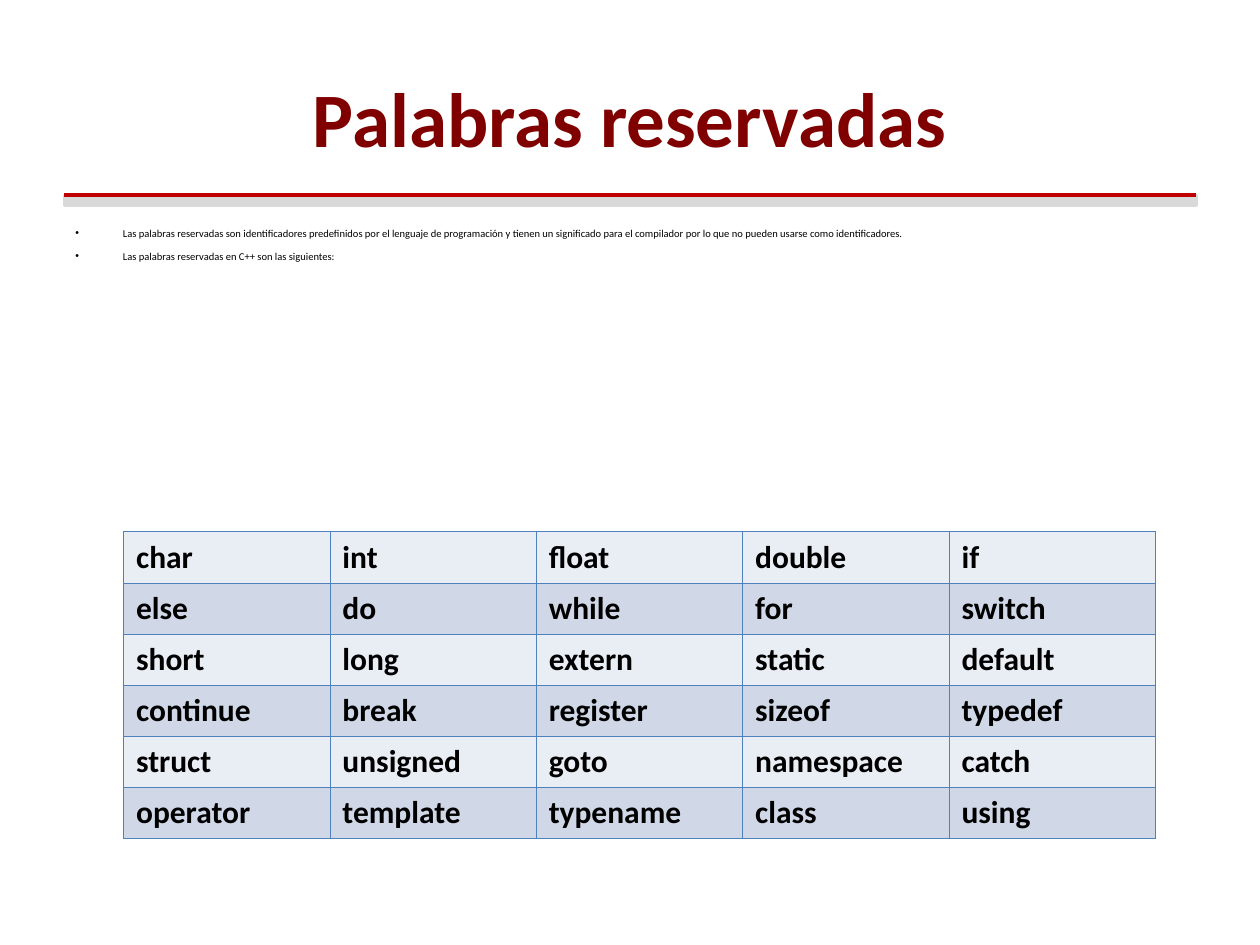
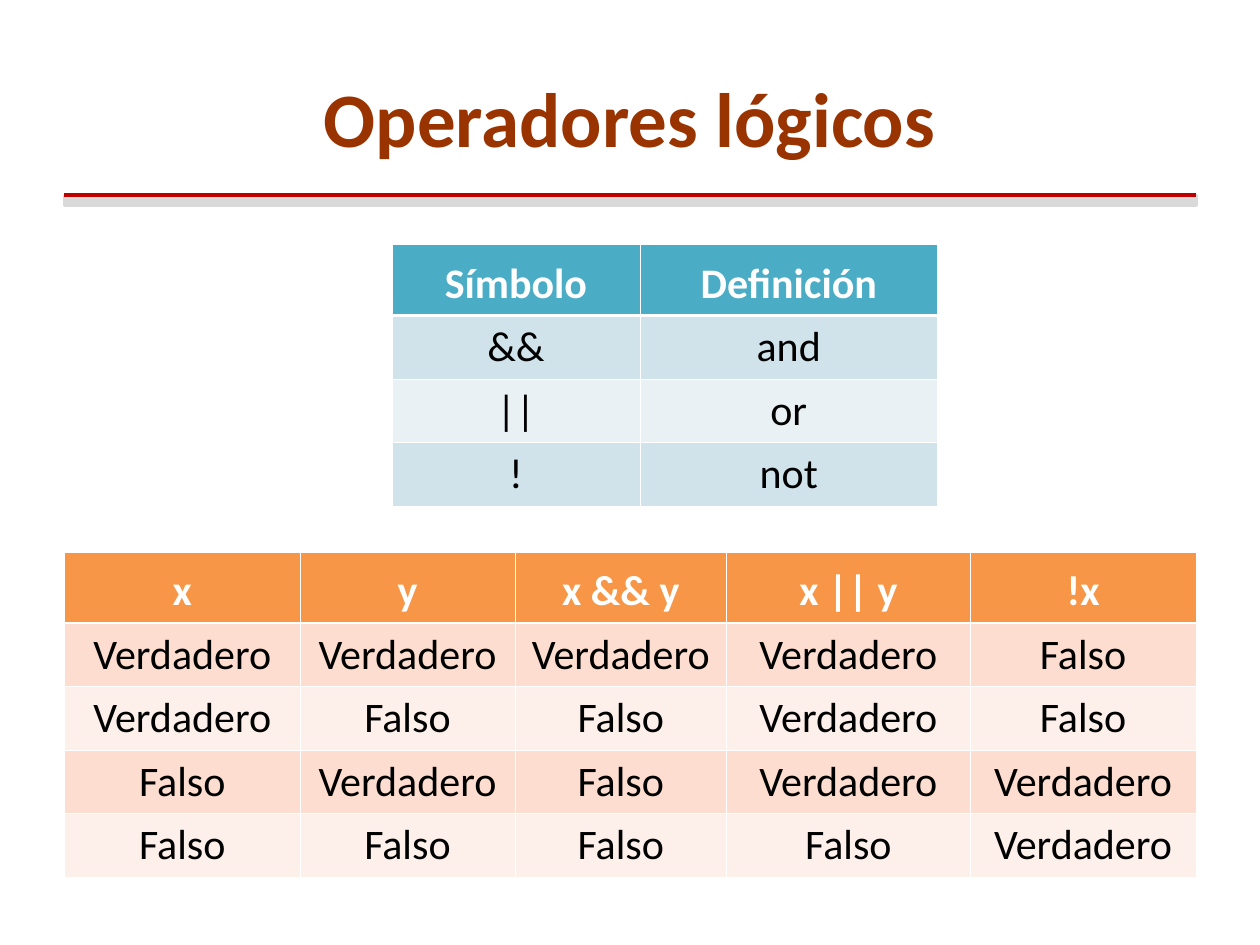
from dataclasses import dataclass
from typing import Any

from lxml.etree import SubElement
from pptx import Presentation
from pptx.dml.color import RGBColor
from pptx.enum.shapes import MSO_CONNECTOR, MSO_SHAPE
from pptx.enum.text import MSO_ANCHOR, PP_ALIGN
from pptx.oxml.ns import qn
from pptx.util import Cm, Pt

FONT = "Calibri"
BLACK, WHITE = "000000", "FFFFFF"
RULE_RED, BAND_GREY = "C00000", "D9D9D9"
RULE_LEFT, RULE_TOP, RULE_WIDTH, BAND_HEIGHT = 1.3, 3.94, 22.81, 0.2
THIN, THICK = 0.45, 1.47
BULLET_INDENT = Cm(0.96)


@dataclass(frozen=True)
class CellStyle:
    """Look of the text in one kind of table row."""

    size: float
    color: str
    bold: bool
    align: PP_ALIGN
    anchor: MSO_ANCHOR = MSO_ANCHOR.TOP
    line_spacing: float = 1.0


@dataclass(frozen=True)
class Grid:
    """A table with its place in centimetres, colours and words."""

    left: float
    top: float
    widths: tuple[float, ...]
    heights: tuple[float, ...]
    rows: tuple[tuple[str, ...], ...]
    bands: tuple[str, str]
    border: str
    body: CellStyle
    header: CellStyle | None = None
    header_fill: str = WHITE


KEYWORD = CellStyle(18, BLACK, True, PP_ALIGN.LEFT)
VALUE = CellStyle(24, BLACK, False, PP_ALIGN.CENTER)
HEADING = CellStyle(24, WHITE, True, PP_ALIGN.CENTER, MSO_ANCHOR.MIDDLE, 1.15)
HEADING_HEIGHT, VALUE_HEIGHT = 1.43, 1.28

RESERVED_NOTES = (
    "Las palabras reservadas son identificadores predefinidos por el lenguaje de "
    "programación y tienen un significado para el compilador por lo que no pueden "
    "usarse como identificadores.",
    "Las palabras reservadas en C++ son las siguientes:",
)

RESERVED_WORDS = Grid(
    left=2.49, top=10.72, widths=(4.16,) * 5, heights=(1.03,) * 6,
    rows=(
        ("char", "int", "float", "double", "if"),
        ("else", "do", "while", "for", "switch"),
        ("short", "long", "extern", "static", "default"),
        ("continue", "break", "register", "sizeof", "typedef"),
        ("struct", "unsigned", "goto", "namespace", "catch"),
        ("operator", "template", "typename", "class", "using"),
    ),
    bands=("E9EDF4", "D0D8E8"), border="4F81BD", body=KEYWORD,
)

LOGIC_SYMBOLS = Grid(
    left=7.9, top=4.93, widths=(5, 6),
    heights=(HEADING_HEIGHT,) + (VALUE_HEIGHT,) * 3,
    rows=(("Símbolo", "Definición"), ("&&", "and"), ("||", "or"), ("!", "not")),
    bands=("E9F1F5", "D0E3EA"), border=WHITE, body=VALUE,
    header=HEADING, header_fill="4BACC6",
)

TRUTH_TABLE = Grid(
    left=RULE_LEFT, top=11.13, widths=(4.75, 4.33, 4.27, 4.91, 4.55),
    heights=(HEADING_HEIGHT,) + (VALUE_HEIGHT,) * 4,
    rows=(
        ("x", "y", "x && y", "x || y", "!x"),
        ("Verdadero", "Verdadero", "Verdadero", "Verdadero", "Falso"),
        ("Verdadero", "Falso", "Falso", "Verdadero", "Falso"),
        ("Falso", "Verdadero", "Falso", "Verdadero", "Verdadero"),
        ("Falso", "Falso", "Falso", "Falso", "Verdadero"),
    ),
    bands=("FDEFE9", "FCDDCF"), border=WHITE, body=VALUE,
    header=HEADING, header_fill="F79646",
)


def rgb(color: str) -> RGBColor:
    """Turn a hex string into a colour."""
    return RGBColor.from_string(color)


def apply(target: Any, values: dict[str, Any]) -> None:
    """Set every named attribute of the target."""
    for name, value in values.items():
        setattr(target, name, value)


def paint(fill: Any, color: str) -> None:
    """Give a fill one solid colour."""
    fill.solid()
    fill.fore_color.rgb = rgb(color)


def write(para: Any, text: str, size: float, color: str, bold: bool,
          layout: dict[str, Any]) -> None:
    """Write one styled span into a paragraph."""
    apply(para, layout)
    span = para.add_run()
    span.text = text
    apply(span.font, {"name": FONT, "size": Pt(size), "bold": bold})
    span.font.color.rgb = rgb(color)


def add_box(page: Any, left: float, top: float, width: float, height: float,
            anchor: MSO_ANCHOR) -> Any:
    """Add a wrapping text box and return its text frame."""
    box = page.shapes.add_textbox(Cm(left), Cm(top), Cm(width), Cm(height))
    apply(box.text_frame, {"word_wrap": True, "vertical_anchor": anchor})
    return box.text_frame


def add_page(deck: Any, title: str, color: str) -> Any:
    """Add a page with the shared band, rule and title."""
    page = deck.slides.add_slide(deck.slide_layouts[6])
    left, top, width = Cm(RULE_LEFT), Cm(RULE_TOP), Cm(RULE_WIDTH)
    band = page.shapes.add_shape(MSO_SHAPE.RECTANGLE, left, top, width, Cm(BAND_HEIGHT))
    band.shadow.inherit = False
    paint(band.fill, BAND_GREY)
    rule = page.shapes.add_connector(MSO_CONNECTOR.STRAIGHT, left, top, left + width, top)
    SubElement(rule._element.spPr, qn("a:effectLst"))
    for shape, line_color, weight in ((band, BAND_GREY, 2), (rule, RULE_RED, 2.25)):
        shape.line.color.rgb = rgb(line_color)
        shape.line.width = Pt(weight)
    frame = add_box(page, 1.27, 0.76, 22.86, 3.18, MSO_ANCHOR.MIDDLE)
    write(frame.paragraphs[0], title, 44, color, True, {"alignment": PP_ALIGN.CENTER})
    return page


def add_bullets(page: Any, notes: tuple[str, ...]) -> None:
    """Add the small bulleted notes under the rule."""
    frame = add_box(page, 1.27, 4.45, 22.83, 3.89, MSO_ANCHOR.TOP)
    for index, note in enumerate(notes):
        para = frame.add_paragraph() if index else frame.paragraphs[0]
        write(para, note, 6, BLACK, False,
              {"alignment": PP_ALIGN.JUSTIFY, "space_before": Pt(6)})
        properties = para._p.get_or_add_pPr()
        properties.set("marL", str(BULLET_INDENT))
        properties.set("indent", str(-BULLET_INDENT))
        SubElement(properties, qn("a:buFont"), typeface="Arial")
        SubElement(properties, qn("a:buChar"), char="•")


def add_borders(cell: Any, color: str, weights: dict[str, float]) -> None:
    """Draw the four sides of a cell."""
    properties = cell._tc.get_or_add_tcPr()
    for side, weight in weights.items():
        line = SubElement(properties, qn(f"a:ln{side}"), w=str(Pt(weight)))
        SubElement(SubElement(line, qn("a:solidFill")), qn("a:srgbClr"), val=color)


def add_grid(page: Any, grid: Grid) -> None:
    """Add a banded table, with a heading row if the grid has one."""
    frame = page.shapes.add_table(
        len(grid.rows), len(grid.widths), Cm(grid.left), Cm(grid.top),
        Cm(sum(grid.widths)), Cm(sum(grid.heights)))
    table = frame.table
    apply(table, {"first_row": grid.header is not None, "horz_banding": False})
    for column, width in zip(table.columns, grid.widths):
        column.width = Cm(width)
    for index, (row, height, words) in enumerate(zip(table.rows, grid.heights, grid.rows)):
        row.height = Cm(height)
        heading = grid.header if index == 0 else None
        style = heading or grid.body
        fill = grid.header_fill if heading else grid.bands[index % 2]
        weights = {
            "L": THIN,
            "R": THIN,
            "T": THICK if grid.header and index == 1 else THIN,
            "B": THICK if heading else THIN,
        }
        for cell, word in zip(row.cells, words):
            add_borders(cell, grid.border, weights)
            paint(cell.fill, fill)
            cell.vertical_anchor = style.anchor
            write(cell.text_frame.paragraphs[0], word, style.size, style.color, style.bold,
                  {"alignment": style.align, "line_spacing": style.line_spacing})


def main() -> None:
    """Build and save the deck."""
    deck = Presentation()
    apply(deck, {"slide_width": Cm(25.4), "slide_height": Cm(19.05)})
    reserved = add_page(deck, "Palabras reservadas", "800000")
    add_bullets(reserved, RESERVED_NOTES)
    add_grid(reserved, RESERVED_WORDS)
    logic = add_page(deck, "Operadores lógicos", "993300")
    for grid in (LOGIC_SYMBOLS, TRUTH_TABLE):
        add_grid(logic, grid)
    deck.save("out.pptx")


if __name__ == "__main__":
    main()
